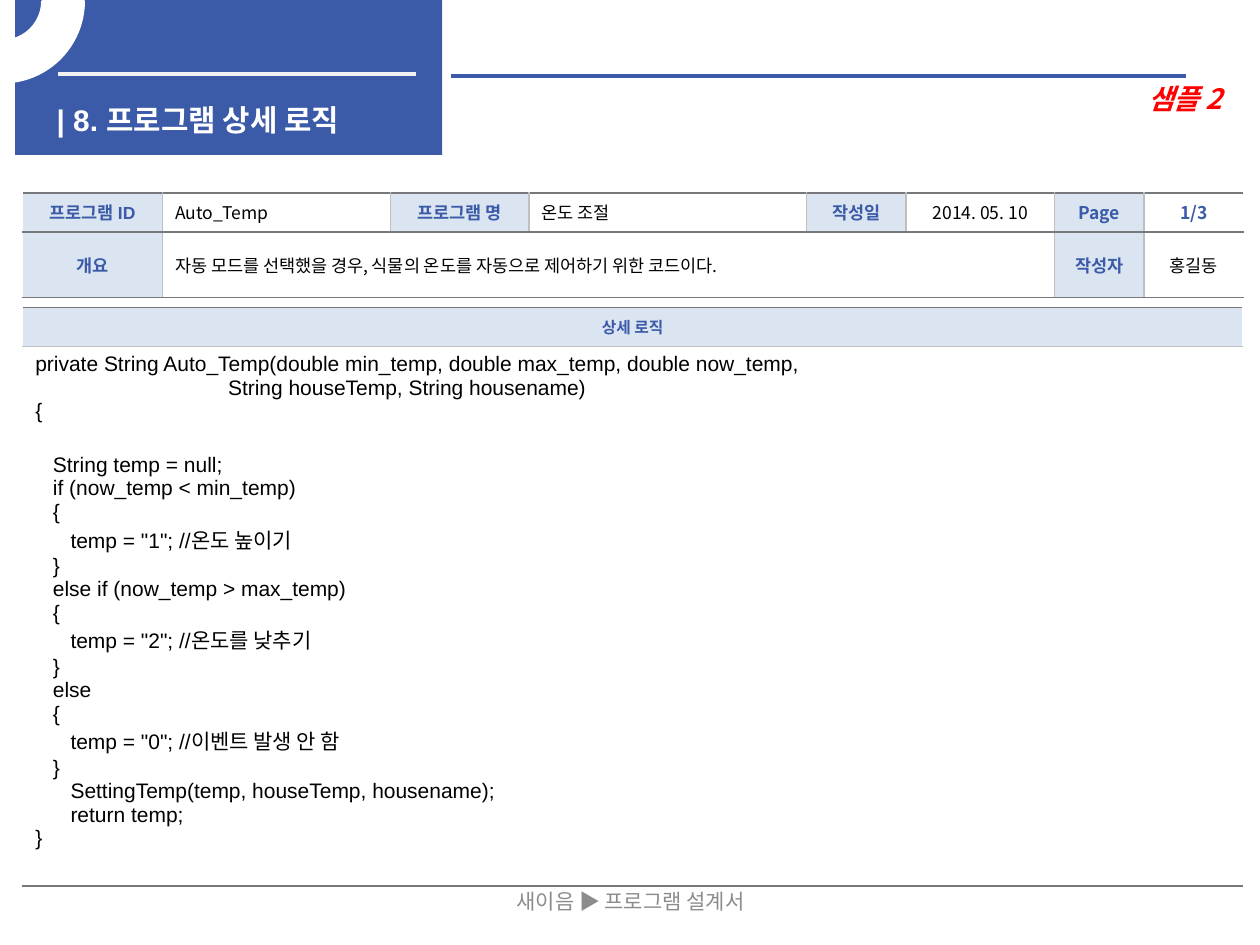
from lxml import etree
from pptx import Presentation
from pptx.dml.color import RGBColor
from pptx.enum.shapes import MSO_CONNECTOR, MSO_SHAPE
from pptx.enum.text import MSO_ANCHOR, MSO_AUTO_SIZE, PP_ALIGN
from pptx.oxml.ns import qn
from pptx.util import Inches, Pt

BLUE = RGBColor(0x3B, 0x5A, 0xA8)
PALE = RGBColor(0xB9, 0xCD, 0xE5)
WHITE = RGBColor(0xFF, 0xFF, 0xFF)
MIST = RGBColor(0xF2, 0xF2, 0xF2)
BLACK = RGBColor(0, 0, 0)
RED = RGBColor(0xFF, 0, 0)
GRAY = RGBColor(0x8C, 0x8C, 0x8C)
RULE = RGBColor(0x77, 0x78, 0x7B)
SOFT = RGBColor(0xBF, 0xBF, 0xBF)

LATIN, HANGUL = "Arial", "Noto Sans CJK KR"
LEFT, CENTER, RIGHT = PP_ALIGN.LEFT, PP_ALIGN.CENTER, PP_ALIGN.RIGHT
TOP, MIDDLE = MSO_ANCHOR.TOP, MSO_ANCHOR.MIDDLE
STRAIGHT = MSO_CONNECTOR.STRAIGHT
RECT, ARC = MSO_SHAPE.RECTANGLE, MSO_SHAPE.BLOCK_ARC
TITLE_ONLY = 5
STEP = 0.14  # inches per code indent level
HANG = 1.53  # inches before the wrapped parameters

# label, is a heading, alignment, font
ID_ROW = [
    ("프로그램 ID", True, CENTER, LATIN),
    ("Auto_Temp", False, LEFT, HANGUL),
    ("프로그램 명", True, CENTER, HANGUL),
    ("온도 조절", False, LEFT, HANGUL),
    ("작성일", True, CENTER, HANGUL),
    ("2014. 05. 10", False, CENTER, HANGUL),
    ("Page", True, CENTER, HANGUL),
    ("1/3", False, CENTER, HANGUL),
]
NOTE = "자동 모드를 선택했을 경우, 식물의 온도를 자동으로 제어하기 위한 코드이다."
NOTE_ROW = {
    0: ("개요", True, CENTER, LATIN),
    1: (NOTE, False, LEFT, HANGUL),
    6: ("작성자", True, CENTER, HANGUL),
    7: ("홍길동", False, CENTER, HANGUL),
}
# indent level, line of code
CODE = [
    (0, "private String Auto_Temp(double min_temp, double max_temp, "
        "double now_temp,\vString houseTemp, String housename)"),
    (0, "{"),
    (1, "String temp = null;"),
    (1, "if (now_temp < min_temp)"),
    (1, "{"),
    (2, 'temp = "1"; //온도 높이기'),
    (1, "}"),
    (1, "else if (now_temp > max_temp)"),
    (1, "{"),
    (2, 'temp = "2"; //온도를 낮추기'),
    (1, "}"),
    (1, "else"),
    (1, "{"),
    (2, 'temp = "0"; //이벤트 발생 안 함'),
    (1, "}"),
    (2, "SettingTemp(temp, houseTemp, housename);"),
    (2, "return temp;"),
    (0, "}"),
]


def write(para, text, size, color, font=HANGUL, bold=False, align=LEFT):
    """Fill one paragraph and set its font."""
    para.text = text
    para.alignment = align
    para.font.size = Pt(size)
    para.font.bold = bold
    para.font.color.rgb = color
    para.font.name = font
    props = para._p.get_or_add_pPr().get_or_add_defRPr()
    etree.SubElement(props, qn("a:ea")).set("typeface", HANGUL)


def indent(para, left, first=0):
    """Set the left margin and first-line indent in inches."""
    props = para._p.get_or_add_pPr()
    props.set("marL", str(Inches(left)))
    props.set("indent", str(Inches(first)))


def add_text(slide, box, text, size, color, align, anchor=TOP):
    """Add a one-line text box."""
    shape = slide.shapes.add_textbox(*map(Inches, box))
    frame = shape.text_frame
    frame.word_wrap = True
    frame.vertical_anchor = anchor
    write(frame.paragraphs[0], text, size, color, align=align)
    return frame.paragraphs[0]


def add_rule(slide, left, right, top, color):
    """Add a level line."""
    line = slide.shapes.add_connector(
        STRAIGHT, Inches(left), Inches(top), Inches(right), Inches(top))
    line.line.color.rgb = color
    line.line.width = Pt(2.25)
    etree.SubElement(line._element.spPr, qn("a:effectLst"))


def add_block(slide, kind, box, color):
    """Add a plain filled shape."""
    shape = slide.shapes.add_shape(kind, *map(Inches, box))
    shape.shadow.inherit = False
    shape.fill.solid()
    shape.fill.fore_color.rgb = color
    shape.line.fill.background()
    return shape


def add_head(slide, left, top):
    """Build the title banner, its ring and its lines."""
    add_block(slide, RECT, (left, top, 3.39, 1.23), BLUE)
    add_rule(slide, left + 0.34, left + 3.18, top + 0.59, MIST)
    add_rule(slide, left + 3.46, left + 9.29, top + 0.6, BLUE)
    ring = add_block(slide, ARC, (left - 0.75, top - 0.63, 1.29, 1.28), WHITE)
    for spot, value in enumerate((161.59, 0, 0.25)):
        ring.adjustments[spot] = value
    ring._element.spPr.find(qn("a:xfrm")).set("flipV", "1")
    ring.line.color.rgb = WHITE
    ring.line.width = Pt(2)

    title = slide.shapes.title
    title.left, title.top = Inches(left + 0.23), Inches(top + 0.76)
    title.width, title.height = Inches(3.07), Inches(0.32)
    frame = title.text_frame
    frame.auto_size = MSO_AUTO_SIZE.NONE
    frame.vertical_anchor = TOP
    write(frame.paragraphs[0], "| 8. 프로그램 상세 로직", 17, WHITE, LATIN, True)
    slide.shapes._spTree.append(title._element)

    mark = add_text(slide, (left + 4.09, top + 0.6, 5.59, 0.37),
                    "샘플 2", 16, RED, RIGHT)
    mark.font.bold = mark.font.italic = True


def style(cell, edges, shade):
    """Set the left, right, top and bottom edges and the fill of a cell."""
    props = cell._tc.get_or_add_tcPr()
    for side, color in zip("LRTB", edges):
        edge = etree.SubElement(props, qn("a:ln" + side), w=str(Pt(1)))
        fill = etree.SubElement(edge, qn("a:solidFill"))
        etree.SubElement(fill, qn("a:srgbClr"), val=str(color))
    if shade:
        cell.fill.solid()
        cell.fill.fore_color.rgb = PALE
        tint = props.find(qn("a:solidFill")).find(qn("a:srgbClr"))
        etree.SubElement(tint, qn("a:alpha"), val="50000")
    else:
        cell.fill.background()


def add_grid(slide, left, top, cols, rows):
    """Add a plain table with the given column widths and row heights."""
    table = slide.shapes.add_table(
        len(rows), len(cols), Inches(left), Inches(top),
        Inches(sum(cols)), Inches(sum(rows))).table
    table.first_row = table.horz_banding = False
    for col, width in zip(table.columns, cols):
        col.width = Inches(width)
    for row, height in zip(table.rows, rows):
        row.height = Inches(height)
    return table


def add_info(slide, left, top):
    """Build the table of program facts."""
    cols = (1.11, 1.81, 1.1, 2.2, 0.79, 1.18, 0.71, 0.79)
    table = add_grid(slide, left, top, cols, (0.31, 0.52))
    table.cell(1, 1).merge(table.cell(1, 5))
    last = len(cols) - 1
    for r, items in enumerate((dict(enumerate(ID_ROW)), NOTE_ROW)):
        for c in range(len(cols)):
            cell = table.cell(r, c)
            text, head, align, font = items.get(c, ("", False, LEFT, HANGUL))
            edges = (SOFT if c else WHITE, SOFT if c < last else WHITE,
                     RULE, RULE)
            style(cell, edges, head)
            if text:
                strong = head or text == "1/3"
                cell.vertical_anchor = MIDDLE
                write(cell.text_frame.paragraphs[0], text, 10,
                      BLUE if strong else BLACK, font, strong, align)


def add_logic(slide, left, top):
    """Build the table that holds the code."""
    table = add_grid(slide, left, top, (9.68,), (0.31, 4.28))
    head, body = table.cell(0, 0), table.cell(1, 0)
    style(head, (WHITE, WHITE, RULE, SOFT), True)
    style(body, (WHITE, WHITE, SOFT, RULE), False)
    head.vertical_anchor = MIDDLE
    write(head.text_frame.paragraphs[0], "상세 로직", 9, BLUE,
          bold=True, align=CENTER)
    frame = body.text_frame
    for spot, (level, text) in enumerate(CODE):
        para = frame.add_paragraph() if spot else frame.paragraphs[0]
        write(para, text, 12, BLACK, LATIN)
        indent(para, level * STEP)
    indent(frame.paragraphs[0], HANG, -HANG)
    frame.paragraphs[2].space_before = Pt(17)


def main():
    """Build and save the slide."""
    deck = Presentation()
    deck.slide_width, deck.slide_height = Inches(10), Inches(7.5)
    slide = deck.slides.add_slide(deck.slide_layouts[TITLE_ONLY])
    add_logic(slide, 0.18, 2.44)
    add_head(slide, 0.12, 0)
    add_info(slide, 0.18, 1.53)
    add_text(slide, (3.42, 6.95, 3.17, 0.4), "새이음 ▶ 프로그램 설계서",
             12, GRAY, CENTER, MIDDLE)
    deck.save("out.pptx")


main()
